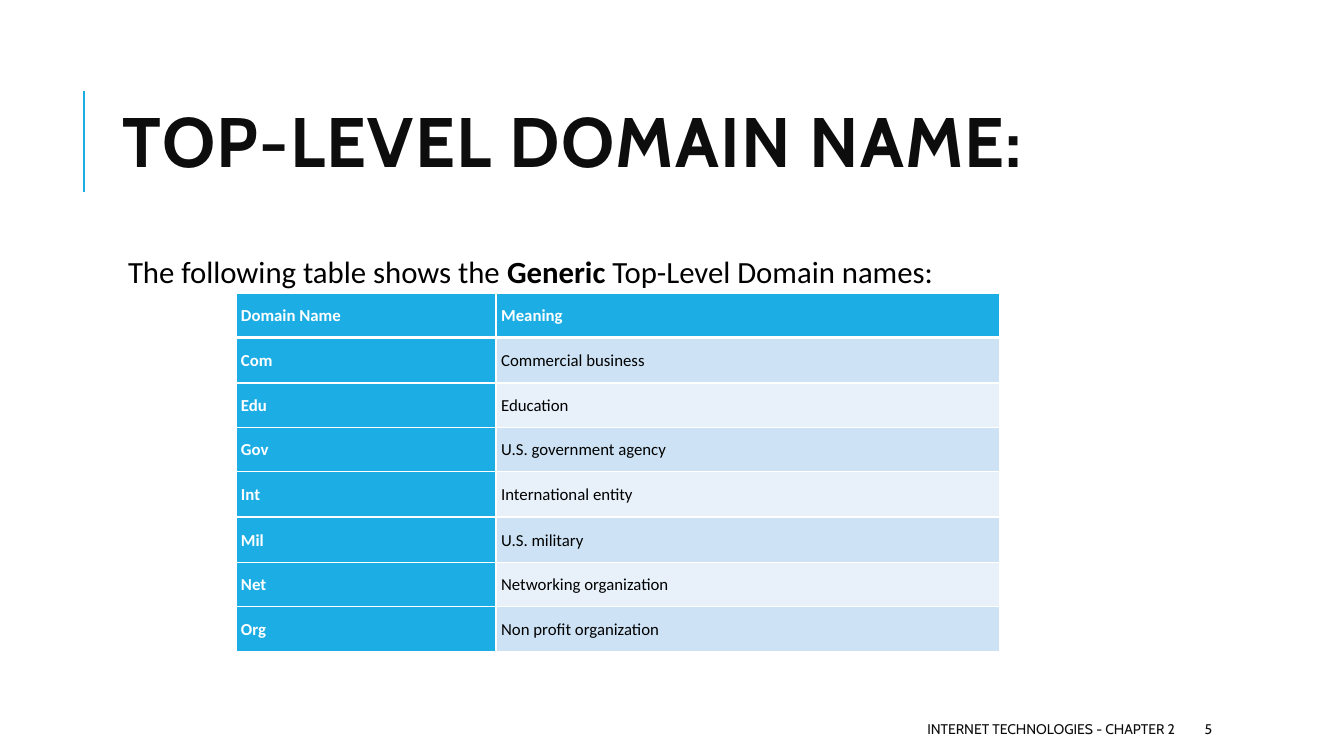
"""Build a slide with a table of generic top-level domain names."""
import pptx
import pptx.dml.color
import pptx.enum.text
import pptx.oxml
import pptx.oxml.ns
import pptx.util

Inches = pptx.util.Inches
Pt = pptx.util.Pt
ALIGN = pptx.enum.text.PP_ALIGN
ANCHOR = pptx.enum.text.MSO_ANCHOR

COLORS = {"accent": "1CADE4", "ink": "0D0D0D", "black": "000000",
          "white": "FFFFFF", "odd": "CDE3F5", "even": "E8F1FA"}
TITLE = "TOP-LEVEL DOMAIN NAME:"
INTRO = [("The following table shows the ", False), ("Generic", True),
         (" Top-Level Domain names:", False)]
FOOTER = "INTERNET TECHNOLOGIES - CHAPTER 2"
NUMBER = "5"
ROWS = [
    ("Domain Name", "Meaning"),
    ("Com", "Commercial business"),
    ("Edu", "Education"),
    ("Gov", "U.S. government agency"),
    ("Int", "International entity"),
    ("Mil", "U.S. military"),
    ("Net", "Networking organization"),
    ("Org", "Non profit organization"),
]
WIDTHS = (2.58, 4.99)
HEIGHTS = (0.44, 0.45, 0.44, 0.44, 0.45, 0.45, 0.44, 0.45)


def color(name):
    return pptx.dml.color.RGBColor.from_string(COLORS[name])


def add_run(para, text, font, size, ink, bold=False):
    run = para.add_run()
    run.text = text
    run.font.name = font
    run.font.size = Pt(size)
    run.font.bold = bold
    run.font.color.rgb = color(ink)
    return run


def add_box(slide, box, anchor=ANCHOR.MIDDLE):
    frame = slide.shapes.add_textbox(*map(Inches, box)).text_frame
    frame.word_wrap = True
    frame.vertical_anchor = anchor
    return frame


def add_border(cell, side, width):
    props = cell._tc.get_or_add_tcPr()
    props.append(pptx.oxml.parse_xml(
        f'<a:ln{side} {pptx.oxml.ns.nsdecls("a")} w="{Pt(width)}">'
        f'<a:solidFill><a:srgbClr val="{COLORS["white"]}"/></a:solidFill>'
        f'</a:ln{side}>'))


def fill_cell(cell, text, row, col):
    head = row == 0 or col == 0
    for side in "LRTB":
        thick = (row, side) in ((0, "B"), (1, "T"))
        add_border(cell, side, 3 if thick else 1)
    cell.fill.solid()
    cell.fill.fore_color.rgb = color(
        "accent" if head else "odd" if row % 2 else "even")
    cell.vertical_anchor = ANCHOR.MIDDLE
    cell.margin_left = cell.margin_right = Inches(0.05)
    cell.margin_top = cell.margin_bottom = Inches(0.05)
    para = cell.text_frame.paragraphs[0]
    para.line_spacing = 1.07
    add_run(para, text, "Calibri", 12, "white" if head else "black", head)


def add_grid(slide):
    grid = slide.shapes.add_table(
        len(ROWS), len(WIDTHS), Inches(2.34), Inches(2.91),
        Inches(sum(WIDTHS)), Inches(sum(HEIGHTS))).table
    for col, width in enumerate(WIDTHS):
        grid.columns[col].width = Inches(width)
    for row, texts in enumerate(ROWS):
        grid.rows[row].height = Inches(HEIGHTS[row])
        for col, text in enumerate(texts):
            fill_cell(grid.cell(row, col), text, row, col)


def add_rule(slide):
    rule = slide.shapes.add_connector(
        1, Inches(0.83), Inches(1.9), Inches(0.83), Inches(0.9))
    rule.line.color.rgb = color("accent")
    rule.line.width = Pt(1.5)
    rule._element.spPr.append(pptx.oxml.parse_xml(
        f'<a:effectLst {pptx.oxml.ns.nsdecls("a")}/>'))


def main():
    deck = pptx.Presentation()
    deck.slide_width = Inches(13.33)
    deck.slide_height = Inches(7.5)
    slide = deck.slides.add_slide(deck.slide_layouts[6])
    add_rule(slide)

    para = add_box(slide, (1.12, 0.64, 10.63, 1.64)).paragraphs[0]
    para.line_spacing = 0.8
    run = add_run(para, TITLE, "Cabin", 50, "ink", True)
    run.font._element.set("spc", "100")

    frame = add_box(slide, (1.12, 2.5, 10.63, 4.4), ANCHOR.TOP)
    frame.margin_left = Inches(0.15)
    frame.margin_right = Inches(0.05)
    para = frame.paragraphs[0]
    para.line_spacing = 0.9
    for text, bold in INTRO:
        add_run(para, text, "Calibri", 22, "black", bold)

    for text, left, width, align in ((FOOTER, 5.3, 6.45, ALIGN.RIGHT),
                                     (NUMBER, 11.85, 1.06, ALIGN.LEFT)):
        para = add_box(slide, (left, 7.08, width, 0.3)).paragraphs[0]
        para.alignment = align
        add_run(para, text, "Cabin", 10, "ink")

    add_grid(slide)
    deck.save("out.pptx")


if __name__ == "__main__":
    main()
